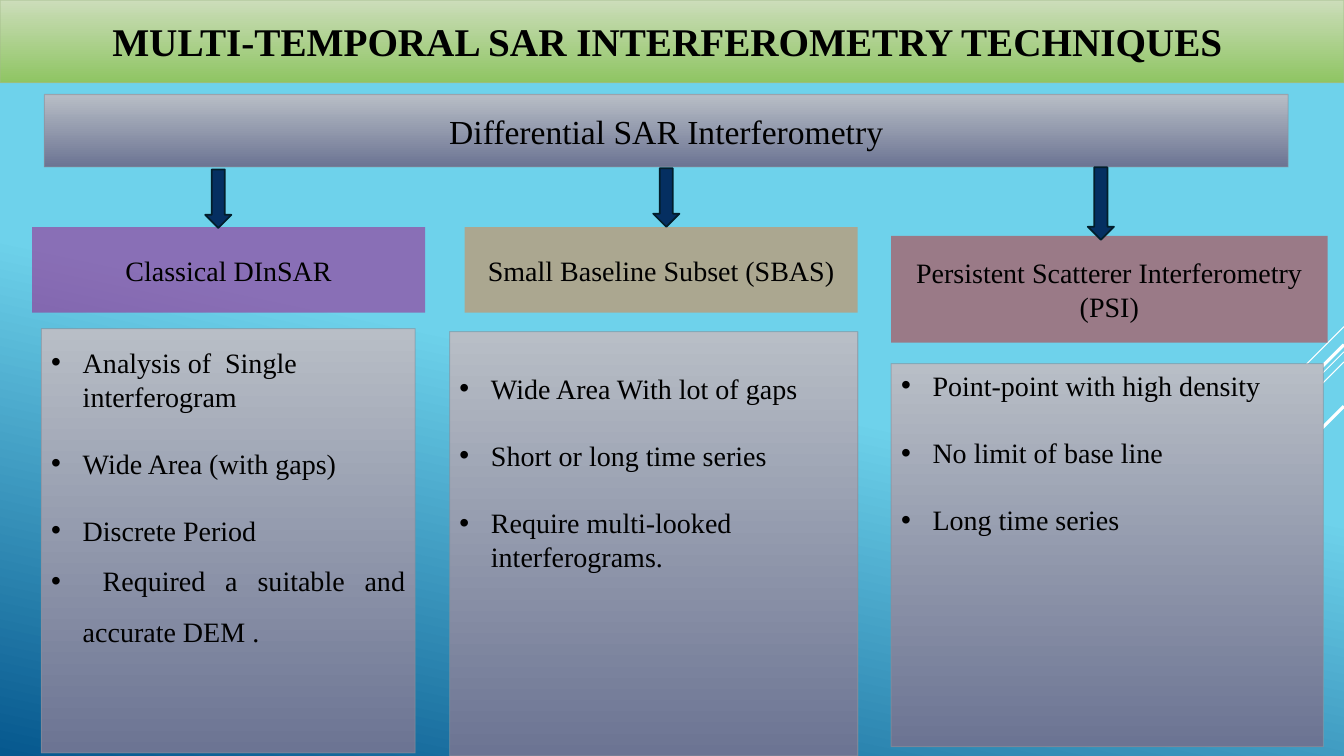
from dataclasses import dataclass
from typing import Optional

from lxml import etree
from pptx import Presentation
from pptx.dml.color import RGBColor
from pptx.enum.shapes import MSO_CONNECTOR, MSO_SHAPE
from pptx.enum.text import MSO_ANCHOR, PP_ALIGN
from pptx.oxml.ns import qn
from pptx.util import Pt

FONT = "Times New Roman"
GREEN = ("CCDDBA", "8FC563")
SLATE = ("B8BEC6", "6C7493")
GREEN_EDGE, SLATE_EDGE = "A4BB8B", "89919C"
BULLET_INDENT = 22.5
BULLET_GAP = 24


@dataclass
class Frame:
    left: float
    top: float
    width: float
    height: float


@dataclass
class Bullet:
    text: str
    gap: float = BULLET_GAP
    spacing: Optional[float] = None
    justified: bool = False


@dataclass
class Technique:
    name: str
    colour: str
    head: Frame
    panel: Frame
    arrow: Frame
    top_inset: float
    bullets: list[Bullet]


@dataclass
class Stripe:
    """A white diagonal running down and left from the right edge."""
    top: float
    run: float
    weight: float


STRIPES = [
    Stripe(233.3, 72, 0.75),
    Stripe(251.3, 234.7, 0.75),
    Stripe(258.5, 149, 0.75),
    Stripe(246.2, 137.5, 2.25),
    Stripe(290.2, 100, 2.25),
]

TECHNIQUES = [
    Technique(
        "Classical DInSAR", "A50E82",
        Frame(23, 162.2, 280.8, 61.2), Frame(29.5, 234.7, 267.1, 303.1),
        Frame(146.6, 121, 18.7, 41.8), 12,
        [Bullet("Analysis of  Single interferogram"),
         Bullet("Wide Area (with gaps)"),
         Bullet("Discrete Period"),
         Bullet(" Required a suitable and accurate DEM .", 0, 1.5, True)]),
    Technique(
        "Small Baseline Subset (SBAS)", "E87D37",
        Frame(331.9, 162.2, 280.8, 61.2), Frame(321.1, 236.9, 291.6, 303.1),
        Frame(466.6, 120.2, 18.7, 41.8), 28.3,
        [Bullet("Wide Area With lot of gaps"),
         Bullet("Short or long time series"),
         Bullet("Require multi-looked interferograms.")]),
    Technique(
        "Persistent Scatterer Interferometry (PSI)", "C62324",
        Frame(636.5, 168.5, 311.8, 76.3), Frame(636.5, 259.7, 308.9, 273.6),
        Frame(777, 119.5, 18.7, 51.8), 3.6,
        [Bullet("Point-point with high density"),
         Bullet("No limit of base line "),
         Bullet("Long time series ")]),
]


def rgb(value: str) -> RGBColor:
    return RGBColor.from_string(value)


def set_alpha(fill_parent, percent: int) -> None:
    """Make the solid fill directly under the given element see-through."""
    colour = fill_parent.find(qn("a:solidFill")).find(qn("a:srgbClr"))
    etree.SubElement(colour, qn("a:alpha")).set("val", str(percent * 1000))


def set_gradient(fill, colours: tuple[str, str], start: float = 0, angle: float = 90) -> None:
    """Fill with two colours; the angle runs clockwise from the left."""
    fill.gradient()
    fill.gradient_angle = 360 - angle
    for stop, colour, position in zip(fill.gradient_stops, colours, (start, 1)):
        stop.color.rgb = rgb(colour)
        stop.position = position


def add_block(page, frame: Frame, kind=MSO_SHAPE.RECTANGLE):
    block = page.shapes.add_shape(
        kind, Pt(frame.left), Pt(frame.top), Pt(frame.width), Pt(frame.height))
    block.shadow.inherit = False
    return block


def add_gradient_block(page, frame: Frame, colours: tuple[str, str], edge: str):
    block = add_block(page, frame)
    set_gradient(block.fill, colours)
    block.line.color.rgb = rgb(edge)
    block.line.width = Pt(0.75)
    set_alpha(block.line._get_or_add_ln(), 60)
    return block


def format_spans(para, size: float, bold: bool = False) -> None:
    for span in para.runs:
        span.font.name = FONT
        span.font.size = Pt(size)
        span.font.bold = bold
        span.font.color.rgb = rgb("000000")


def add_label(block, text: str, size: float, bold: bool = False) -> None:
    box = block.text_frame
    box.text = text
    box.word_wrap = True
    box.vertical_anchor = MSO_ANCHOR.MIDDLE
    para = box.paragraphs[0]
    para.alignment = PP_ALIGN.CENTER
    format_spans(para, size, bold)


def add_bullets(block, bullets: list[Bullet], top_inset: float) -> None:
    box = block.text_frame
    box.text = "\n".join(bullet.text for bullet in bullets)
    box.word_wrap = True
    box.vertical_anchor = MSO_ANCHOR.TOP
    box.margin_top = Pt(top_inset)
    for index, (para, bullet) in enumerate(zip(box.paragraphs, bullets)):
        properties = para._p.get_or_add_pPr()
        properties.set("marL", str(Pt(BULLET_INDENT)))
        properties.set("indent", str(-Pt(BULLET_INDENT)))
        etree.SubElement(properties, qn("a:buFont")).set("typeface", "Arial")
        etree.SubElement(properties, qn("a:buChar")).set("char", "•")
        para.alignment = PP_ALIGN.JUSTIFY if bullet.justified else PP_ALIGN.LEFT
        if index:
            para.space_before = Pt(bullet.gap)
        if bullet.spacing:
            para.line_spacing = bullet.spacing
        format_spans(para, 20)


def add_stripe(page, stripe: Stripe, right: float = 960) -> None:
    line = page.shapes.add_connector(
        MSO_CONNECTOR.STRAIGHT, Pt(right), Pt(stripe.top),
        Pt(right - stripe.run), Pt(stripe.top + stripe.run))
    line.line.color.rgb = rgb("FFFFFF")
    line.line.width = Pt(stripe.weight)
    etree.SubElement(line._element.spPr, qn("a:effectLst"))


def add_technique(page, technique: Technique) -> None:
    head = add_block(page, technique.head)
    head.fill.solid()
    head.fill.fore_color.rgb = rgb(technique.colour)
    set_alpha(head._element.spPr, 50)
    head.line.fill.background()
    add_label(head, technique.name, 20)

    panel = add_gradient_block(page, technique.panel, SLATE, SLATE_EDGE)
    add_bullets(panel, technique.bullets, technique.top_inset)

    arrow = add_block(page, technique.arrow, MSO_SHAPE.DOWN_ARROW)
    arrow.fill.solid()
    arrow.fill.fore_color.rgb = rgb("052F61")
    arrow.line.color.rgb = rgb("021E2B")
    arrow.line.width = Pt(1.25)


def main() -> None:
    deck = Presentation()
    deck.slide_width, deck.slide_height = Pt(960), Pt(540)
    page = deck.slides.add_slide(deck.slide_layouts[6])
    set_gradient(page.background.fill, ("6ED2EB", "06588E"), start=0.5, angle=102)
    for stripe in STRIPES:
        add_stripe(page, stripe)
    title = add_gradient_block(page, Frame(0, 0, 960, 59), GREEN, GREEN_EDGE)
    add_label(title, "MULTI‑TEMPORAL SAR INTERFEROMETRY TECHNIQUES ", 28, bold=True)
    banner = add_gradient_block(page, Frame(31.7, 67.5, 888.5, 51.8), SLATE, SLATE_EDGE)
    add_label(banner, "Differential SAR Interferometry", 24)
    for technique in TECHNIQUES:
        add_technique(page, technique)
    deck.save("out.pptx")


if __name__ == "__main__":
    main()
